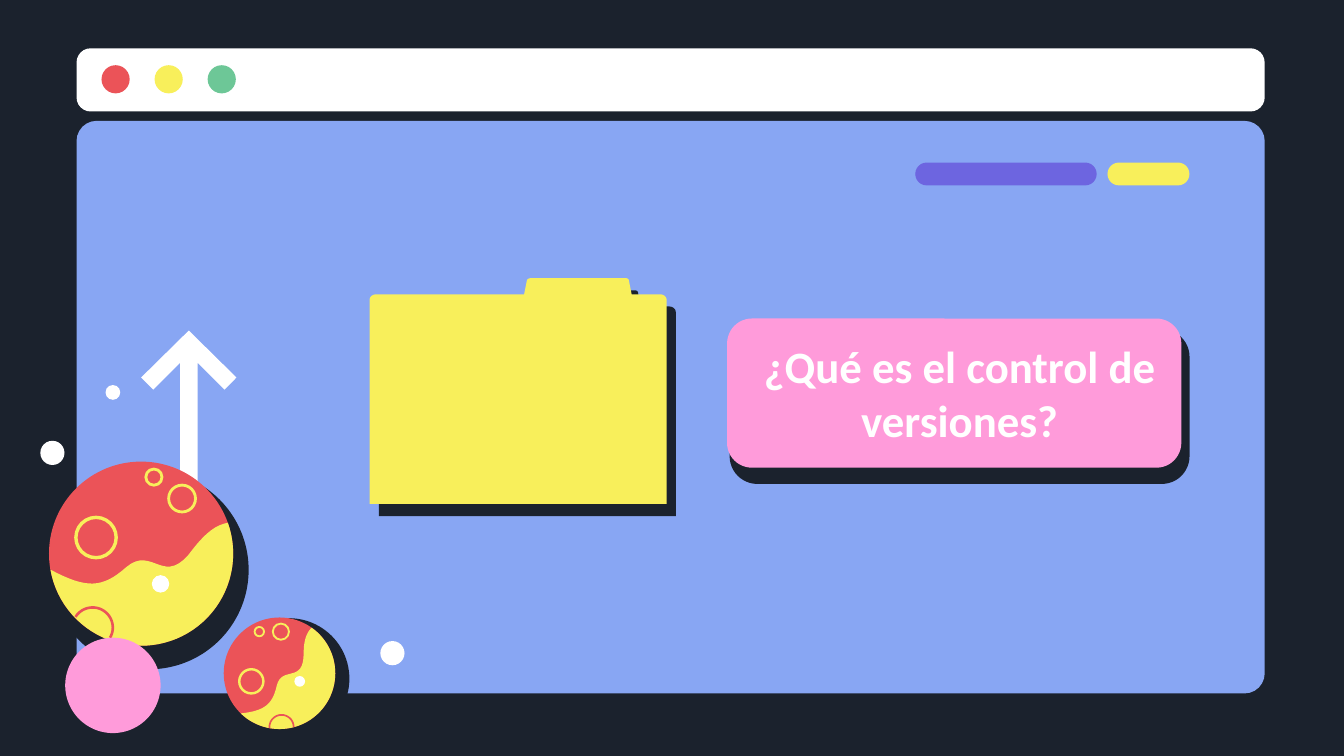
import math

import pptx
import pptx.dml.color
import pptx.enum.shapes
import pptx.enum.text
import pptx.oxml.ns
import pptx.util
from lxml import etree

KIND = pptx.enum.shapes.MSO_SHAPE
NIGHT, BLUE, WHITE, PINK = "1B222D", "88A6F3", "FFFFFF", "FF9BDA"
RED, SUN, GREEN, PLUM = "EB5358", "F8EF5B", "6DC797", "6D65E0"


def hue(code):
    return pptx.dml.color.RGBColor.from_string(code)


def size(inch):
    """Turn slide inches into a length."""
    return pptx.util.Cm(inch * 2.54)


def arc(x, y, r, start, end, steps=48):
    """List points along a circle, angles in degrees, clockwise from the right."""
    turns = [math.radians(start + (end - start) * i / steps) for i in range(steps + 1)]
    return [(x + r * math.cos(t), y + r * math.sin(t)) for t in turns]


def trace(start, moves, steps=16):
    """List points along straight (x, y) and cubic (six numbers) moves."""
    spots = [start]
    for move in moves:
        if len(move) == 2:
            spots.append(move)
            continue
        knots = [spots[-1], move[:2], move[2:4], move[4:]]
        for i in range(1, steps + 1):
            t = i / steps
            parts = [(1 - t) ** 3, 3 * t * (1 - t) ** 2, 3 * t * t * (1 - t), t ** 3]
            spots.append(tuple(sum(w * k[axis] for w, k in zip(parts, knots))
                               for axis in (0, 1)))
    return spots


class Deck:
    font = {"name": "Calibri", "size": pptx.util.Pt(24), "bold": True}
    frame = {"word_wrap": True, "vertical_anchor": pptx.enum.text.MSO_ANCHOR.MIDDLE}
    frame.update({"margin_" + side: size(0.1)
                  for side in ("left", "right", "top", "bottom")})

    def __init__(self):
        self.file = pptx.Presentation()
        self.file.slide_width, self.file.slide_height = size(10), size(5.625)
        self.slide = self.file.slides.add_slide(self.file.slide_layouts[6])
        self.slide.background.fill.solid()
        self.slide.background.fill.fore_color.rgb = hue(NIGHT)

    def paint(self, shape, fill=None, line=None, width=1):
        shape.shadow.inherit = False
        if fill:
            shape.fill.solid()
            shape.fill.fore_color.rgb = hue(fill)
        else:
            shape.fill.background()
        if line:
            shape.line.color.rgb = hue(line)
            shape.line.width = pptx.util.Pt(width)
        else:
            shape.line.fill.background()
        return shape

    def shape(self, kind, box, **look):
        item = self.slide.shapes.add_shape(kind, *map(size, box))
        return self.paint(item, **look)

    def panel(self, box, bend, **look):
        self.shape(KIND.ROUNDED_RECTANGLE, box, **look).adjustments[0] = bend

    def dot(self, x, y, wide, **look):
        """Draw a circle from its centre."""
        self.shape(KIND.OVAL, (x - wide / 2, y - wide / 2, wide, wide), **look)

    def form(self, spots, close=True, **look):
        ends = [(size(x), size(y)) for x, y in spots]
        pen = self.slide.shapes.build_freeform(*ends[0])
        pen.add_line_segments(ends[1:], close=close)
        return self.paint(pen.convert_to_shape(), **look)

    def shade(self, shape, code, gap, angle):
        """Add a hard drop shadow, with gap in points."""
        qn = pptx.oxml.ns.qn
        node = shape._element.spPr.find(qn("a:effectLst"))
        drop = etree.SubElement(node, qn("a:outerShdw"), blurRad="0",
                                dist=str(pptx.util.Pt(gap)), dir=str(angle * 60000),
                                algn="bl", rotWithShape="0")
        etree.SubElement(drop, qn("a:srgbClr"), val=code)

    def title(self, box, words):
        frame = self.slide.shapes.add_textbox(*map(size, box)).text_frame
        for name, value in self.frame.items():
            setattr(frame, name, value)
        para = frame.paragraphs[0]
        para.alignment = pptx.enum.text.PP_ALIGN.CENTER
        run = para.add_run()
        run.text = words
        for name, value in self.font.items():
            setattr(run.font, name, value)
        run.font.color.rgb = hue(WHITE)

    def planet(self, disc, dark, span, wave, rings, cut, moon):
        """Draw a planet; the sea runs along the rim over span, then back by wave."""
        x, y, r = disc
        self.dot(*dark, fill=NIGHT)
        self.dot(x, y, 2 * r, fill=RED)
        for *ring, width in rings:
            self.dot(*ring, line=SUN, width=width)
        rim = arc(x, y, r, *span)
        self.form(rim + trace(rim[-1], wave)[1:], fill=SUN)
        *bow, width = cut
        self.form(arc(*bow), close=False, line=RED, width=width)
        self.dot(*moon, fill=WHITE)


def main():
    deck = Deck()

    # Browser window
    deck.panel((0.57, 0.9, 8.84, 4.26), 0.035, fill=BLUE)
    deck.panel((0.57, 0.36, 8.84, 0.47), 0.223, fill=WHITE)
    for i, code in enumerate((RED, SUN, GREEN)):
        deck.dot(0.86 + 0.395 * i, 0.59, 0.21, fill=code)
    deck.panel((6.81, 1.21, 1.35, 0.17), 0.5, fill=PLUM)
    deck.panel((8.24, 1.21, 0.61, 0.17), 0.5, fill=SUN)
    deck.dot(0.39, 3.37, 0.18, fill=WHITE)

    # Arrow
    half = [(0.065, 4.29), (0.065, 2.7), (0.265, 2.9), (0.355, 2.81), (0, 2.46)]
    mid = 1.405
    deck.form([(mid - x, y) for x, y in half]
              + [(mid + x, y) for x, y in half[-2::-1]], fill=WHITE)

    # Title card and folder
    deck.panel((5.45, 2.47, 3.38, 1.11), 0.167, fill=NIGHT, line=NIGHT, width=3)
    deck.panel((5.41, 2.37, 3.38, 1.11), 0.167, fill=PINK)
    folder = deck.form(trace((4.96, 2.23), [
        (4.96, 3.75), (2.75, 3.75), (2.75, 2.23),
        (2.75, 2.21, 2.77, 2.19, 2.8, 2.19), (3.9, 2.19), (3.92, 2.09),
        (3.92, 2.08, 3.93, 2.07, 3.95, 2.07), (4.66, 2.07),
        (4.67, 2.07, 4.68, 2.08, 4.68, 2.09), (4.7, 2.19), (4.91, 2.19),
        (4.94, 2.19, 4.96, 2.21, 4.96, 2.23)]), fill=SUN)
    deck.shade(folder, NIGHT, 8.2, 53)
    deck.title((5.45, 2.46, 3.38, 0.92), "¿Qué es el control de versiones?")

    # Planets and loose dots
    deck.planet(
        (1.05, 4.12, 0.685), (1.11, 4.24, 1.48), (-19.5, 170),
        [(0.64, 4.38, 0.76, 4.38, 0.94, 4.22),
         (1.14, 4.05, 1.22, 4.39, 1.44, 4.08),
         (1.55, 3.94, 1.63, 3.9, 1.7, 3.89)],
        [(0.715, 4, 0.3, 1.8), (1.355, 3.71, 0.2, 1.5), (1.145, 3.55, 0.12, 1.5)],
        (0.69, 4.67, 0.15, 212, 390, 1.4), (1.195, 4.345, 0.13))
    deck.dot(0.84, 5.1, 0.71, fill=PINK)
    deck.planet(
        (2.08, 5.01, 0.415), (2.15, 5.05, 0.9), (-55, 134),
        [(1.97, 5.29, 2.03, 5.24, 2.06, 5.1),
         (2.1, 4.95, 2.26, 5.09, 2.26, 4.86),
         (2.26, 4.75, 2.29, 4.7, 2.32, 4.67)],
        [(1.87, 5.07, 0.18, 1.3), (2.09, 4.7, 0.12, 1), (1.93, 4.7, 0.07, 1)],
        (2.095, 5.41, 0.09, 175, 360, 0.9), (2.23, 5.07, 0.08))
    deck.dot(2.92, 4.86, 0.18, fill=WHITE)
    deck.dot(0.84, 2.92, 0.11, fill=WHITE)

    deck.file.save("out.pptx")


if __name__ == "__main__":
    main()
